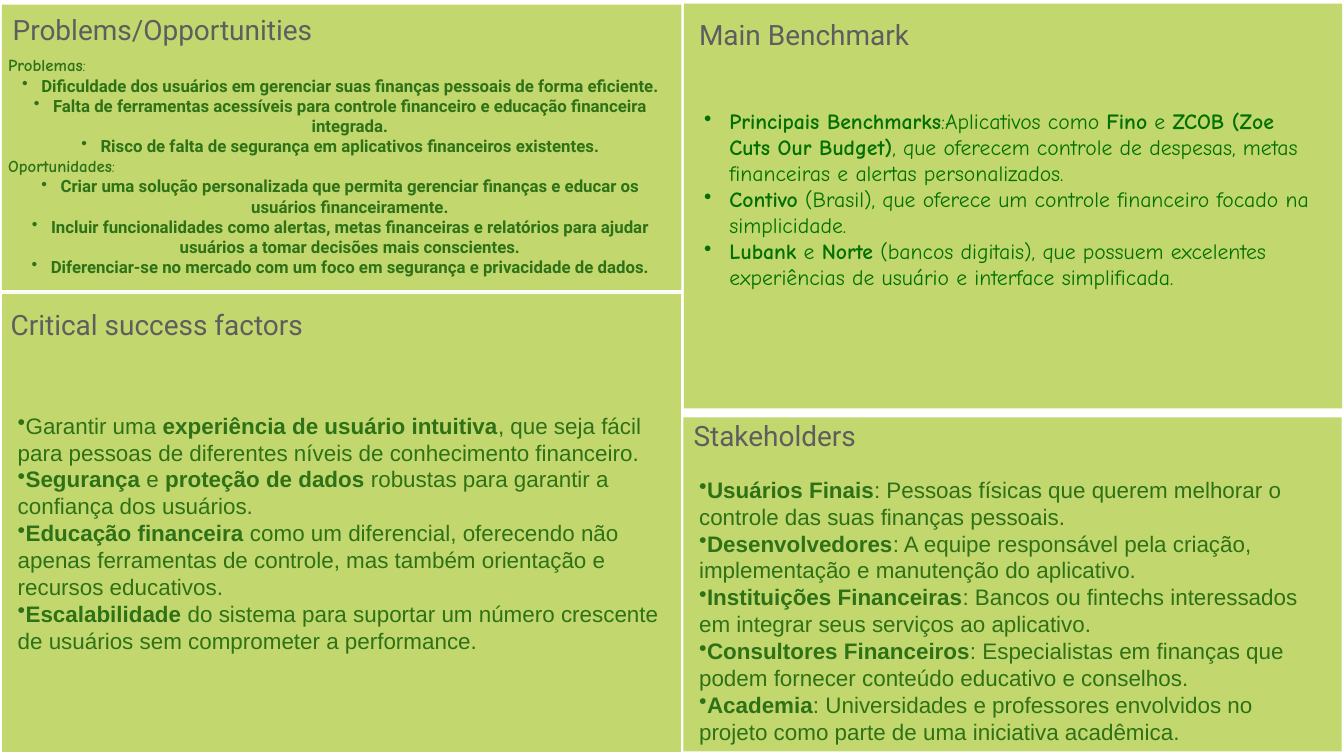
from dataclasses import dataclass
from typing import Optional

from lxml.etree import SubElement
from pptx import Presentation
from pptx.dml.color import RGBColor
from pptx.enum.shapes import MSO_SHAPE
from pptx.enum.text import MSO_ANCHOR, PP_ALIGN
from pptx.oxml.ns import qn
from pptx.util import Cm, Pt


@dataclass(frozen=True)
class Theme:
    panel: str = "C2D76D"
    edge: str = "FFFFFF"
    heading: str = "5E5E5E"
    green: str = "2E7116"
    bright_green: str = "027001"
    heading_font: str = "Roboto"
    label_font: str = "Comic Neue"
    plain_font: str = "Arial"
    heading_size: int = 40
    small_size: int = 24
    medium_size: int = 31
    large_size: int = 32
    line_pitch: float = 1.2


THEME = Theme()


@dataclass(frozen=True)
class Area:
    """A rectangle in centimetres."""
    left: float
    top: float
    width: float
    height: float

    def lengths(self) -> tuple:
        return Cm(self.left), Cm(self.top), Cm(self.width), Cm(self.height)


@dataclass(frozen=True)
class TextStyle:
    font: str
    size: int
    color: str
    indent: float = 0
    bullet: bool = True
    align: PP_ALIGN = PP_ALIGN.LEFT


@dataclass(frozen=True)
class Item:
    """A paragraph; text between ** marks is bold."""
    text: str
    style: TextStyle


@dataclass(frozen=True)
class Panel:
    area: Area
    title: str
    title_area: Area
    body_area: Area
    items: list
    anchor: MSO_ANCHOR = MSO_ANCHOR.MIDDLE
    margin: float = 0.08
    edge_width: Optional[float] = None


HEADING = TextStyle(THEME.heading_font, THEME.heading_size, THEME.heading, bullet=False)
LABEL = TextStyle(THEME.label_font, THEME.small_size, THEME.green, bullet=False)
POINT = TextStyle(THEME.heading_font, THEME.small_size, THEME.green, 0.97, align=PP_ALIGN.CENTER)
BENCHMARK = TextStyle(THEME.label_font, THEME.medium_size, THEME.bright_green, 1.27)
PLAIN = TextStyle(THEME.plain_font, THEME.large_size, THEME.green)


def items(style: TextStyle, *texts: str) -> list:
    return [Item(text, style) for text in texts]


PANELS = [
    Panel(
        Area(0.1, 0.23, 34.24, 14.38), "Problems/Opportunities",
        Area(0.56, 0.56, 15.77, 1.83), Area(0.33, 2.13, 33.63, 12.47),
        items(LABEL, "**Problemas**:")
        + items(
            POINT,
            "**Dificuldade dos usuários em gerenciar suas finanças pessoais de forma eficiente.**",
            "**Falta de ferramentas acessíveis para controle financeiro e educação financeira integrada.**",
            "**Risco de falta de segurança em aplicativos financeiros existentes.**",
        )
        + items(LABEL, "**Oportunidades**:")
        + items(
            POINT,
            "**Criar uma solução personalizada que permita gerenciar finanças e educar os usuários financeiramente.**",
            "**Incluir funcionalidades como alertas, metas financeiras e relatórios para ajudar usuários a tomar "
            "decisões mais conscientes.**",
            "**Diferenciar-se no mercado com um foco em segurança e privacidade de dados.**",
        ),
    ),
    Panel(
        Area(34.47, 0.18, 33.17, 20.4), "Main Benchmark",
        Area(35.15, 0.81, 11.2, 1.83), Area(35.41, 5.33, 31.24, 9.42),
        items(
            BENCHMARK,
            "**Principais Benchmarks**:Aplicativos como **Fino** e **ZCOB (Zoe Cuts Our Budget)**, que oferecem "
            "controle de despesas, metas financeiras e alertas personalizados.",
            "**Contivo** (Brasil), que oferece um controle financeiro focado na simplicidade.",
            "**Lubank** e **Norte** (bancos digitais), que possuem excelentes experiências de usuário e interface "
            "simplificada.",
        ),
    ),
    Panel(
        Area(0.08, 14.76, 34.24, 23.16), "Critical success factors",
        Area(0.46, 15.44, 16.23, 1.83), Area(0.64, 19.13, 33.15, 13.94),
        items(
            PLAIN,
            "Garantir uma **experiência de usuário intuitiva**, que seja fácil para pessoas de diferentes níveis de "
            "conhecimento financeiro.",
            "**Segurança** e **proteção de dados** robustas para garantir a confiança dos usuários.",
            "**Educação financeira** como um diferencial, oferecendo não apenas ferramentas de controle, mas também "
            "orientação e recursos educativos.",
            "**Escalabilidade** do sistema para suportar um número crescente de usuários sem comprometer a "
            "performance.",
        ),
        anchor=MSO_ANCHOR.BOTTOM, margin=0.25, edge_width=0.25,
    ),
    Panel(
        Area(34.44, 21.03, 33.17, 16.84), "Stakeholders",
        Area(34.87, 21.03, 8.76, 1.83), Area(35.15, 23.85, 31.24, 13.82),
        items(
            PLAIN,
            "**Usuários Finais**: Pessoas físicas que querem melhorar o controle das suas finanças pessoais.",
            "**Desenvolvedores**: A equipe responsável pela criação, implementação e manutenção do aplicativo.",
            "**Instituições Financeiras**: Bancos ou fintechs interessados em integrar seus serviços ao aplicativo.",
            "**Consultores Financeiros**: Especialistas em finanças que podem fornecer conteúdo educativo e "
            "conselhos.",
            "**Academia**: Universidades e professores envolvidos no projeto como parte de uma iniciativa "
            "acadêmica.",
        ),
    ),
]


def add_bullet(para, indent: float) -> None:
    properties = para._p.get_or_add_pPr()
    properties.set("marL", str(Cm(indent)))
    properties.set("indent", str(-Cm(indent)))
    SubElement(properties, qn("a:buChar")).set("char", "•")


def write_item(para, item: Item) -> None:
    style = item.style
    para.alignment = style.align
    para.line_spacing = Pt(THEME.line_pitch * style.size)
    if style.bullet:
        add_bullet(para, style.indent)
    for position, part in enumerate(item.text.split("**")):
        if not part:
            continue
        span = para.add_run()
        span.text = part
        formats = {"name": style.font, "size": Pt(style.size), "bold": position % 2 == 1}
        for name, value in formats.items():
            setattr(span.font, name, value)
        span.font.color.rgb = RGBColor.from_string(style.color)


def add_text(page, area: Area, content: list, anchor: MSO_ANCHOR, margin: float, wrap: bool) -> None:
    frame = page.shapes.add_textbox(*area.lengths()).text_frame
    formats = {
        "word_wrap": wrap, "vertical_anchor": anchor,
        "margin_left": Cm(margin), "margin_right": Cm(margin),
        "margin_top": Cm(margin / 2), "margin_bottom": Cm(margin / 2),
    }
    for name, value in formats.items():
        setattr(frame, name, value)
    for position, item in enumerate(content):
        write_item(frame.add_paragraph() if position else frame.paragraphs[0], item)


def add_panel(page, panel: Panel) -> None:
    box = page.shapes.add_shape(MSO_SHAPE.RECTANGLE, *panel.area.lengths())
    box.shadow.inherit = False
    box.fill.solid()
    box.fill.fore_color.rgb = RGBColor.from_string(THEME.panel)
    if panel.edge_width is None:
        box.line.fill.background()
    else:
        box.line.color.rgb = RGBColor.from_string(THEME.edge)
        box.line.width = Pt(panel.edge_width)
    add_text(page, panel.title_area, items(HEADING, panel.title), MSO_ANCHOR.MIDDLE, 0.08, wrap=False)
    add_text(page, panel.body_area, panel.items, panel.anchor, panel.margin, wrap=True)


def main() -> None:
    deck = Presentation()
    deck.slide_width, deck.slide_height = Cm(67.73), Cm(38.1)
    page = deck.slides.add_slide(deck.slide_layouts.get_by_name("Blank"))
    for panel in PANELS:
        add_panel(page, panel)
    deck.save("out.pptx")


if __name__ == "__main__":
    main()
